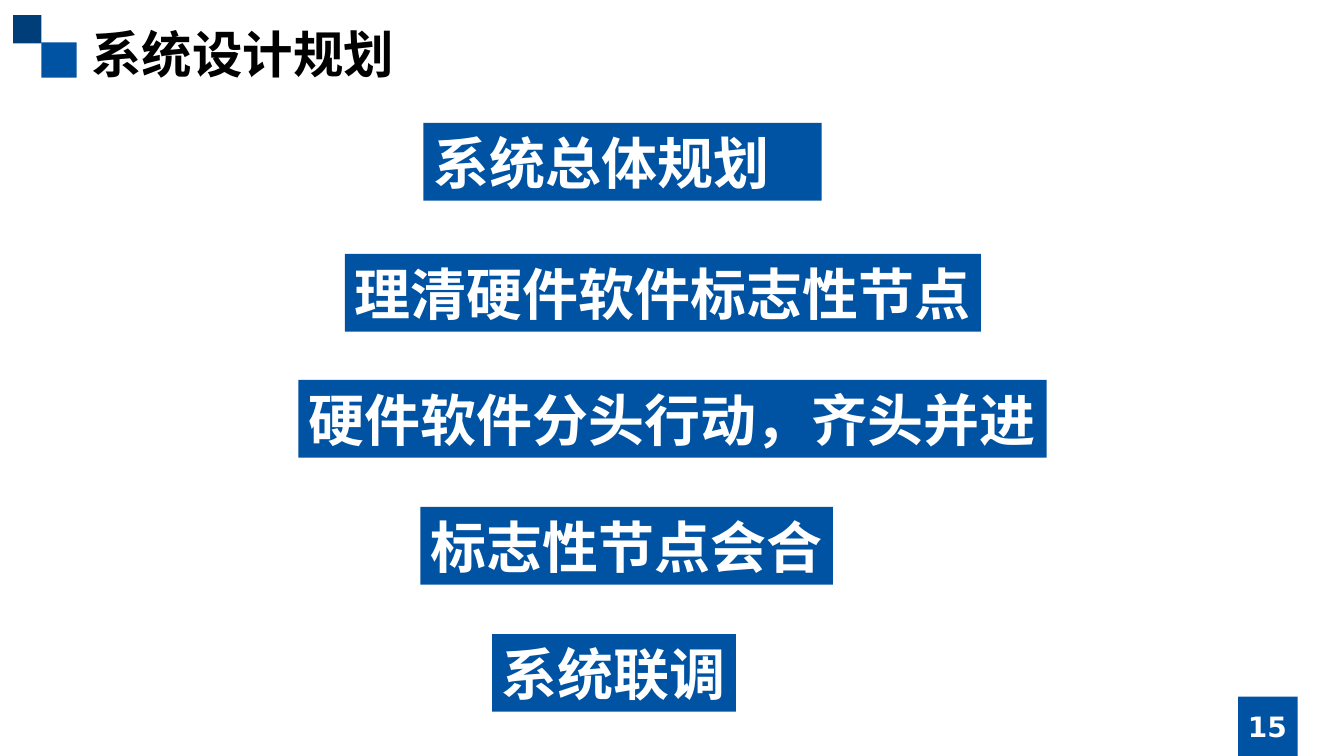
"""Build the system design planning slide."""
import dataclasses

import pptx
import pptx.dml.color
import pptx.enum.shapes
import pptx.enum.text
import pptx.util

Inches = pptx.util.Inches
Align = pptx.enum.text.PP_ALIGN
Anchor = pptx.enum.text.MSO_ANCHOR
BLUE, NAVY, WHITE, BLACK = "0053A3", "003E7A", "FFFFFF", "000000"
SANS, HAN = "DejaVu Sans", "Noto Sans CJK SC"


@dataclasses.dataclass(frozen=True)
class Box:
    """A rectangle measured in inches."""
    left: float
    top: float
    width: float
    height: float

    def place(self) -> list:
        """Return the four lengths."""
        return [Inches(v) for v in (self.left, self.top, self.width, self.height)]


@dataclasses.dataclass(frozen=True)
class Step:
    """One stage of the plan."""
    text: str
    left: float
    top: float
    width: float
    wrap: bool = False


def color(code: str) -> pptx.dml.color.RGBColor:
    """Turn a hex string into a colour."""
    return pptx.dml.color.RGBColor.from_string(code)


def block(slide, box: Box, fill: str):
    """Draw a plain filled rectangle."""
    kind = pptx.enum.shapes.MSO_SHAPE.RECTANGLE
    shape = slide.shapes.add_shape(kind, *box.place())
    shape.shadow.inherit = False
    shape.fill.solid()
    shape.fill.fore_color.rgb = color(fill)
    shape.line.fill.background()
    return shape


def write(shape, text: str, size: int, ink: str, font: str = SANS,
          align=Align.LEFT, wrap: bool = True) -> None:
    """Put one bold line of text into a shape."""
    frame = shape.text_frame
    frame.text = text
    frame.word_wrap = wrap
    frame.vertical_anchor = Anchor.MIDDLE
    line = frame.paragraphs[0]
    line.alignment = align
    face = line.runs[0].font
    face.name, face.size, face.bold = font, pptx.util.Pt(size), True
    face.color.rgb = color(ink)


def label(slide, box: Box, text: str, size: int, ink: str, font: str, align) -> None:
    """Add a text box."""
    write(slide.shapes.add_textbox(*box.place()), text, size, ink, font, align)


def stage(slide, step: Step) -> None:
    """Draw one stage of the plan."""
    bar = block(slide, Box(step.left, step.top, step.width, 0.77), BLUE)
    write(bar, step.text, 40, WHITE, wrap=step.wrap)


STEPS = [
    Step("系统总体规划", 4.2, 1.22, 3.95, True),
    Step("理清硬件软件标志性节点", 3.42, 2.52, 6.31),
    Step("硬件软件分头行动，齐头并进", 2.96, 3.77, 7.42),
    Step("标志性节点会合", 4.17, 5.03, 4.09),
    Step("系统联调", 4.88, 6.29, 2.42),
]


def main() -> None:
    """Build and save the slide."""
    deck = pptx.Presentation()
    deck.slide_width, deck.slide_height = Inches(13.33), Inches(7.5)
    slide = deck.slides.add_slide(deck.slide_layouts[6])
    block(slide, Box(0.41, 0.42, 0.35, 0.35), BLUE)
    block(slide, Box(0.13, 0.15, 0.28, 0.28), NAVY)
    block(slide, Box(12.28, 6.91, 0.59, 0.59), BLUE)
    label(slide, Box(0.81, 0.17, 5.91, 0.71), "系统设计规划", 36, BLACK, HAN, Align.LEFT)
    label(slide, Box(11.81, 7.01, 1.52, 0.4), "15", 20, WHITE, SANS, Align.CENTER)
    for step in STEPS:
        stage(slide, step)
    deck.save("out.pptx")


main()
